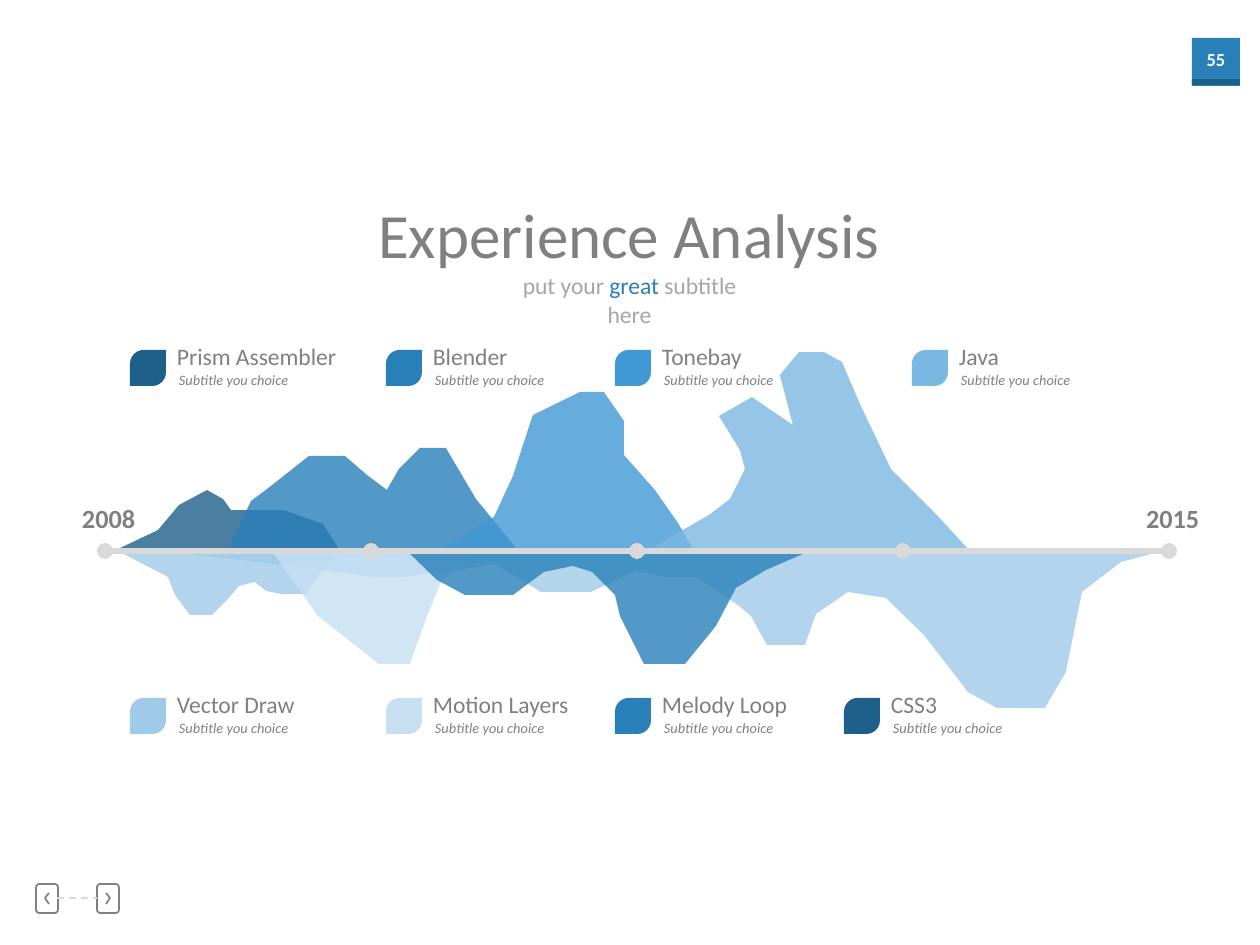
from dataclasses import dataclass

from lxml.etree import SubElement
from pptx import Presentation
from pptx.dml.color import RGBColor
from pptx.enum.dml import MSO_LINE_DASH_STYLE as Dash
from pptx.enum.shapes import MSO_CONNECTOR as Conn, MSO_SHAPE as Shape
from pptx.enum.text import MSO_ANCHOR as Anchor, MSO_AUTO_SIZE as AutoSize, PP_ALIGN as Align
from pptx.oxml.ns import qn
from pptx.util import Pt

EMU_PER_PX = 914400 / 126


@dataclass(frozen=True)
class Theme:
    font: str = "Calibri"
    navy: str = "1F608B"
    blue: str = "2980B9"
    azure: str = "4098D4"
    sky: str = "7BB8E1"
    pale: str = "9FCBE9"
    ice: str = "C6E0F2"
    grey: str = "808080"
    mid_grey: str = "A6A6A6"
    light_grey: str = "D9D9D9"
    white: str = "FFFFFF"
    title: float = 36
    year: float = 15
    label: float = 13.5
    page: float = 10.5
    note: float = 8.25


T = Theme()
AXIS_Y = 551
DOT = 16
DOT_XS = [105 + 266 * i for i in range(5)]

# Areas from back to front: colour, outline points
WAVES = [
    (T.pale, [(165, 551), (290, 566), (373, 577), (402, 577), (452, 571), (494, 564),
              (517, 577), (541, 592), (591, 592), (635, 571), (665, 577), (696, 577),
              (738, 605), (751, 616), (767, 645), (805, 645), (816, 614), (848, 592),
              (886, 598), (924, 635), (968, 692), (997, 708), (1045, 708), (1066, 672),
              (1082, 592), (1121, 562), (1162, 551)]),
    (T.pale, [(118, 551), (168, 577), (175, 595), (190, 615), (212, 615), (227, 600),
              (239, 586), (255, 582), (266, 591), (281, 594), (306, 594), (325, 566),
              (340, 551)]),
    (T.ice, [(272, 551), (318, 616), (379, 664), (410, 664), (426, 619), (441, 582),
             (475, 551)]),
    (T.blue, [(407, 551), (437, 580), (465, 595), (513, 595), (544, 572), (573, 566),
              (592, 572), (615, 595), (620, 616), (644, 664), (685, 664), (716, 626),
              (736, 588), (766, 570), (810, 551)]),
    (T.navy, [(118, 549), (158, 530), (179, 505), (207, 490), (223, 499), (231, 510),
              (284, 510), (323, 524), (339, 549)]),
    (T.blue, [(229, 549), (251, 501), (266, 490), (309, 456), (345, 456), (367, 475),
              (387, 490), (399, 469), (420, 448), (446, 448), (476, 499), (517, 549)]),
    (T.azure, [(442, 549), (494, 517), (513, 476), (524, 442), (533, 415), (580, 392),
               (604, 392), (624, 421), (624, 455), (655, 490), (678, 523), (693, 549)]),
    (T.sky, [(650, 549), (709, 515), (730, 499), (745, 469), (740, 450), (719, 416),
             (752, 397), (765, 406), (793, 425), (780, 375), (799, 352), (824, 352),
             (842, 362), (861, 406), (891, 469), (937, 515), (968, 549)]),
]

# Legend rows: top, then (left, name, name width, colour)
LEGEND = [
    (350, [(130, "Prism Assembler", 197, T.navy), (386, "Blender", 102, T.blue),
           (615, "Tonebay", 102, T.azure), (912, "Java", 66, T.sky)]),
    (698, [(130, "Vector Draw", 145, T.pale), (386, "Motion Layers", 165, T.ice),
           (615, "Melody Loop", 145, T.blue), (844, "CSS3", 73, T.navy)]),
]


def px(n):
    return round(n * EMU_PER_PX)


def rgb(color):
    return RGBColor.from_string(color)


def paint(sp, fill=None, line=None, width=1):
    sp.shadow.inherit = False
    if fill:
        sp.fill.solid()
        sp.fill.fore_color.rgb = rgb(fill)
    else:
        sp.fill.background()
    if line:
        sp.line.color.rgb = rgb(line)
        sp.line.width = Pt(width)
    else:
        sp.line.fill.background()
    return sp


def add_preset(s, kind, box, **style):
    return paint(s.shapes.add_shape(kind, *map(px, box)), **style)


def add_path(s, points, closed=True, **style):
    builder = s.shapes.build_freeform(*points[0], scale=EMU_PER_PX)
    builder.add_line_segments(points[1:], close=closed)
    return paint(builder.convert_to_shape(), **style)


def add_line(s, x1, x2, y, width, dash=None):
    line = s.shapes.add_connector(Conn.STRAIGHT, px(x1), px(y), px(x2), px(y))
    line.line.color.rgb = rgb(T.light_grey)
    line.line.width = Pt(width)
    if dash:
        line.line.dash_style = dash
    SubElement(line._element.spPr, qn("a:effectLst"))


def write(tf, runs, size, align=Align.LEFT, bold=False, italic=False):
    tf.word_wrap = True
    tf.auto_size = AutoSize.NONE
    tf.vertical_anchor = Anchor.TOP
    p = tf.paragraphs[0]
    p.alignment = align
    for text, color in runs:
        r = p.add_run()
        r.text = text
        r.font.name = T.font
        r.font.size = Pt(size)
        r.font.bold = bold
        r.font.italic = italic
        r.font.color.rgb = rgb(color)


def add_text(s, box, runs, size, margins=(13, 0), **style):
    tf = s.shapes.add_textbox(*map(px, box)).text_frame
    tf.margin_left, tf.margin_right = map(px, margins)
    write(tf, runs, size, **style)


def add_heading(s):
    title = s.shapes.title
    title.left, title.top, title.width, title.height = map(px, (365, 189, 528, 89))
    write(title.text_frame, [("Experience Analysis", T.grey)], T.title, Align.CENTER)
    runs = [("put your ", T.mid_grey), ("great", T.blue), (" subtitle here", T.mid_grey)]
    add_text(s, (486, 265, 287, 70), runs, T.label, margins=(20, 20), align=Align.CENTER)


def add_page_badge(s):
    add_preset(s, Shape.RECTANGLE, (1192, 38, 48, 48), fill=T.blue)
    add_preset(s, Shape.RECTANGLE, (1192, 79, 48, 6), fill=T.navy)
    add_text(s, (1192, 42, 48, 35), [("55", T.white)], T.page,
             margins=(0, 0), align=Align.CENTER, bold=True)


def add_pager(s):
    for left, tip, tail in ((36, 45, 49), (97, 110, 106)):
        box = add_preset(s, Shape.ROUNDED_RECTANGLE, (left, 884, 22, 29), line=T.grey)
        box.adjustments[0] = 0.15
        add_path(s, [(tail, 893), (tip, 898), (tail, 904)], closed=False, line=T.grey)
    add_line(s, 57, 97, 898, 1, Dash.DASH)


def add_wave(s, color, points):
    sp = add_path(s, points, fill=color)
    clr = sp._element.spPr.find(qn("a:solidFill"))[0]
    SubElement(clr, qn("a:alpha"), val="80000")


def add_timeline(s):
    for x1, x2 in zip(DOT_XS, DOT_XS[1:]):
        add_line(s, x1, x2, AXIS_Y, 3)
    for x in DOT_XS:
        add_preset(s, Shape.OVAL, (x - DOT // 2, AXIS_Y - DOT // 2, DOT, DOT),
                   fill=T.light_grey)
    for left, year in ((69, "2008"), (1133, "2015")):
        add_text(s, (left, 496, 79, 44), [(year, T.grey)], T.year, bold=True)


def add_legend_item(s, left, top, name, width, color):
    leaf = add_preset(s, Shape.ROUND_2_DIAG_RECTANGLE, (left, top, 36, 36), fill=color)
    leaf.adjustments[0] = 0.38
    add_text(s, (left + 34, top - 14, width, 42), [(name, T.grey)], T.label)
    add_text(s, (left + 36, top + 15, 136, 30), [("Subtitle you choice", T.grey)],
             T.note, italic=True)


def main():
    prs = Presentation()
    prs.slide_width, prs.slide_height = px(1260), px(945)
    s = prs.slides.add_slide(prs.slide_layouts[5])
    # Page furniture and heading
    add_page_badge(s)
    add_pager(s)
    add_heading(s)
    # Overlapping areas and their axis
    for color, points in WAVES:
        add_wave(s, color, points)
    add_timeline(s)
    # Legend above and below the areas
    for top, items in LEGEND:
        for left, name, width, color in items:
            add_legend_item(s, left, top, name, width, color)
    prs.save("out.pptx")


if __name__ == "__main__":
    main()
